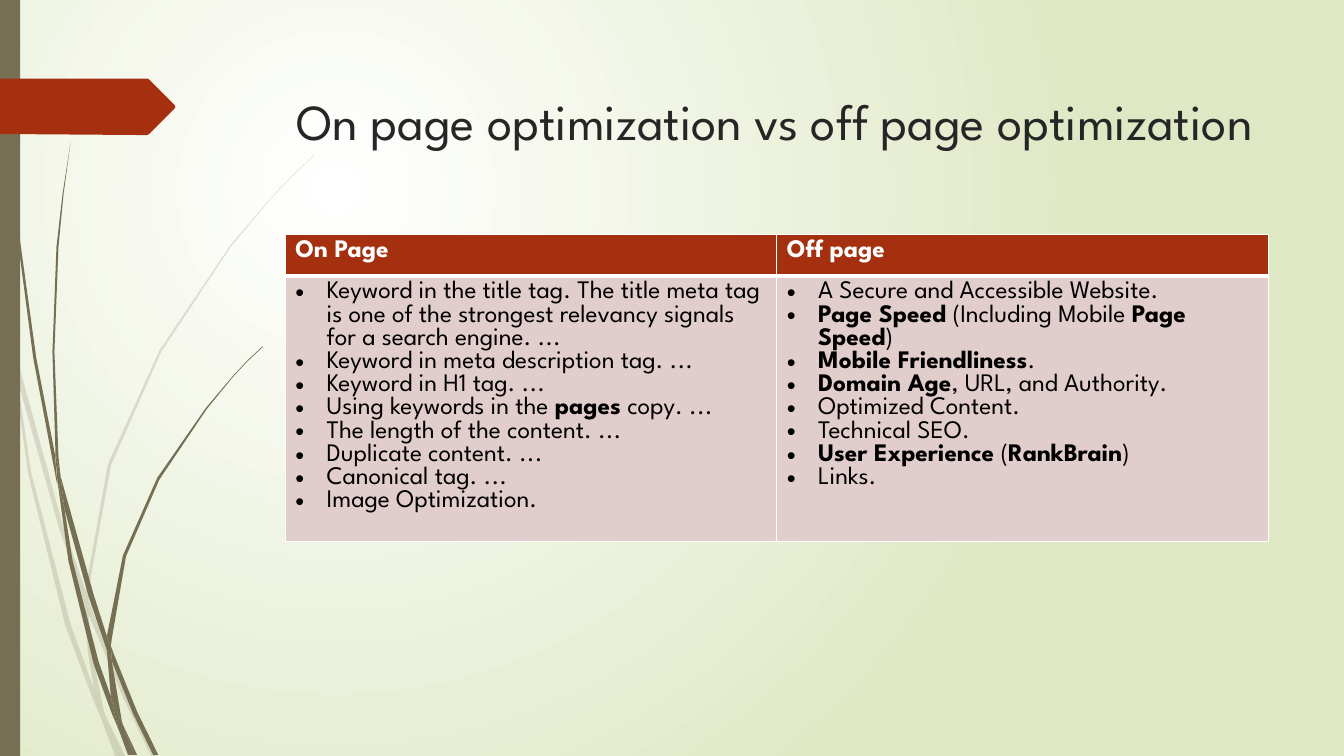
"""Builds a slide that compares on page and off page optimization in a table."""
from lxml.etree import SubElement
from pptx import Presentation
from pptx.dml.color import RGBColor
from pptx.enum.shapes import MSO_SHAPE
from pptx.enum.text import MSO_ANCHOR, MSO_AUTO_SIZE, PP_ALIGN
from pptx.oxml.ns import qn
from pptx.util import Inches, Pt

FONT = "League Spartan"
OLIVE, RUST, ROSE, WHITE, BLACK = "766F54", "A53010", "E1CDCC", "FFFFFF", "000000"

TITLE = "On page optimization vs off page optimization"
HEADERS = ["On Page", "Off page"]
# Asterisks enclose bold words.
ITEMS = [
    ["Keyword in the title tag. The title meta tag is one of the strongest "
     "relevancy signals for a search engine. ...",
     "Keyword in meta description tag. ...",
     "Keyword in H1 tag. ...",
     "Using keywords in the *pages* copy. ...",
     "The length of the content. ...",
     "Duplicate content. ...",
     "Canonical tag. ...",
     "Image Optimization."],
    ["A Secure and Accessible Website.",
     "*Page Speed* (Including Mobile *Page Speed*)",
     "*Mobile Friendliness*.",
     "*Domain Age*, URL, and Authority.",
     "Optimized Content.",
     "Technical SEO.",
     "*User Experience* (*RankBrain*)",
     "Links."],
]

PALE_STEMS = [
    [(0.11, 3.5), (0.09, 3.22), (0, 2.82), (0, 2.99), (0.1, 3.44)],
    [(0.58, 5.22), (0.84, 5.99), (0.85, 5.86), (0.62, 5.2), (0.14, 3.45), (0.17, 3.76)],
    [(0.92, 6.07), (0.88, 5.96), (0.88, 6.1), (1.23, 6.94), (1.5, 7.5), (1.55, 7.5),
     (1.27, 6.92)],
    [(1.19, 7.5), (1.24, 7.5), (1.05, 7.11)],
    [(0.93, 6.83), (0.7, 6.19), (0.31, 4.69), (0.17, 3.76), (0.11, 3.5), (0.28, 4.7),
     (0.65, 6.21), (0.92, 6.93), (1.01, 7.14), (0.99, 7.07)],
    [(0.84, 5.99), (0.87, 6.46), (0.93, 6.83), (0.96, 6.92), (1.05, 7.11), (1.03, 7.06),
     (0.91, 6.46), (0.88, 6.1), (0.88, 6.08)],
    [(0.88, 5.84), (1.1, 4.62), (1.6, 3.49), (2.29, 2.45), (2.68, 1.98), (2.9, 1.75),
     (3.12, 1.54), (3.12, 1.53), (2.89, 1.75), (2.68, 1.97), (2.28, 2.44), (1.58, 3.48),
     (1.07, 4.61), (0.85, 5.84), (0.85, 5.86), (0.88, 5.96)],
    [(1.01, 7.14), (1.14, 7.5), (1.19, 7.5)],
    [(0.88, 6.08), (0.88, 6.1), (0.88, 5.96), (0.85, 5.86), (0.84, 5.99)],
    [(0.96, 6.92), (0.93, 6.83), (0.99, 7.07), (1.01, 7.14), (1.19, 7.5), (1.05, 7.11)],
]
DARK_STEMS = [
    [(0.07, 1.1), (0.17, 2.33), (0.33, 3.55), (0.56, 4.77), (0.57, 4.81), (0.55, 4.57),
     (0.55, 4.53), (0.36, 3.55), (0.19, 2.32), (0.08, 1.09), (0.05, 0.48), (0.04, 0),
     (0.03, 0), (0.04, 0.48)],
    [(0.88, 5.92), (1.06, 6.45), (1.06, 6.33), (1.06, 6.31), (0.93, 5.9), (0.6, 4.72),
     (0.64, 5.05)],
    [(1.13, 6.49), (1.1, 6.41), (1.11, 6.56), (1.32, 7.08), (1.52, 7.49), (1.57, 7.49),
     (1.36, 7.06)],
    [(1.1, 6.91), (0.98, 6.57), (0.72, 5.56), (0.64, 5.05), (0.57, 4.77), (0.68, 5.57),
     (0.93, 6.59), (1.11, 7.08), (1.17, 7.22), (1.16, 7.17)],
    [(0.6, 4.72), (0.58, 4.53), (0.54, 3.49), (0.58, 2.45), (0.63, 1.93), (0.7, 1.41),
     (0.62, 1.93), (0.56, 2.45), (0.52, 3.49), (0.55, 4.49)],
    [(1.33, 7.49), (1.36, 7.49), (1.22, 7.19)],
    [(0.57, 4.77), (0.64, 5.05), (0.6, 4.72), (0.55, 4.49), (0.55, 4.53)],
    [(1.11, 6.33), (1.25, 5.52), (1.58, 4.76), (2.05, 4.06), (2.31, 3.74), (2.45, 3.59),
     (2.61, 3.44), (2.6, 3.44), (2.45, 3.58), (2.31, 3.73), (2.04, 4.05), (1.56, 4.74),
     (1.22, 5.51), (1.06, 6.31), (1.1, 6.41)],
    [(1.17, 7.22), (1.27, 7.49), (1.31, 7.49)],
    [(1.06, 6.45), (1.1, 6.91), (1.16, 7.06), (1.22, 7.19), (1.21, 7.16), (1.11, 6.56),
     (1.09, 6.51)],
    [(1.06, 6.45), (1.09, 6.51), (1.11, 6.56), (1.1, 6.41), (1.06, 6.31), (1.06, 6.33)],
    [(1.16, 7.06), (1.1, 6.91), (1.16, 7.17), (1.17, 7.22), (1.3, 7.49), (1.33, 7.49),
     (1.22, 7.19)],
]
ARROW = [(0, 0.78), (1.46, 0.78), (1.48, 0.79), (1.73, 1.04), (1.74, 1.06), (1.73, 1.08),
         (1.48, 1.33), (1.46, 1.34), (1.36, 1.34), (0, 1.33)]


def rgb(color):
    return RGBColor.from_string(color)


def paint(sp, color, alpha=None):
    sp.shadow.inherit = False
    sp.fill.solid()
    sp.fill.fore_color.rgb = rgb(color)
    sp.line.fill.background()
    if alpha:
        clr = sp.element.spPr.find(qn("a:solidFill")).find(qn("a:srgbClr"))
        SubElement(clr, qn("a:alpha")).set("val", str(alpha * 1000))


def add_outline(shapes, points, color, alpha=None):
    pts = [(Inches(x), Inches(y)) for x, y in points]
    builder = shapes.build_freeform(*pts[0])
    builder.add_line_segments(pts[1:], close=True)
    paint(builder.convert_to_shape(), color, alpha)


def add_runs(p, text, size, color, bold=False):
    for i, part in enumerate(text.split("*")):
        if part:
            r = p.add_run()
            r.text = part
            r.font.name, r.font.size = FONT, Pt(size)
            r.font.bold = bold or i % 2 == 1
            r.font.color.rgb = rgb(color)


def add_bullet(p):
    pPr = p._p.get_or_add_pPr()
    pPr.set("marL", str(Inches(0.31)))
    pPr.set("indent", str(-Inches(0.31)))
    SubElement(pPr, qn("a:buFont")).set("typeface", "Arial")
    SubElement(pPr, qn("a:buChar")).set("char", "•")


def format_cell(cell, color, top, bottom):
    tcPr = cell._tc.get_or_add_tcPr()
    for side, width in (("L", 1), ("R", 1), ("T", top), ("B", bottom)):
        ln = SubElement(tcPr, qn("a:ln" + side))
        ln.set("w", str(Pt(width)))
        SubElement(SubElement(ln, qn("a:solidFill")), qn("a:srgbClr")).set("val", WHITE)
    cell.fill.solid()
    cell.fill.fore_color.rgb = rgb(color)


def set_background(slide):
    fill = slide.background.fill
    fill.gradient()
    for stop, color in zip(fill.gradient_stops, (WHITE, "DFE8C4")):
        stop.color.rgb = rgb(color)
    grad = slide.element.find(".//" + qn("a:gradFill"))
    grad.remove(grad.find(qn("a:lin")))
    circle = SubElement(grad, qn("a:path"))
    circle.set("path", "circle")
    center = SubElement(circle, qn("a:fillToRect"))
    for side, value in zip("ltrb", (50000, 50000, 100000, 100000)):
        center.set(side, str(value))


def add_title(slide):
    title = slide.shapes.title
    title.left, title.top = Inches(2.84), Inches(0.68)
    title.width, title.height = Inches(9.75), Inches(1.4)
    tf = title.text_frame
    tf.auto_size = MSO_AUTO_SIZE.NONE
    tf.vertical_anchor = MSO_ANCHOR.TOP
    tf.margin_top = Inches(0.21)
    p = tf.paragraphs[0]
    p.alignment = PP_ALIGN.LEFT
    add_runs(p, TITLE, 36, "262626")


def add_comparison(slide):
    table = slide.shapes.add_table(2, 2, Inches(2.83), Inches(2.33),
                                   Inches(9.75), Inches(3.04)).table
    table.horz_banding = False
    table.rows[0].height, table.rows[1].height = Inches(0.41), Inches(2.63)
    for col, (header, items) in enumerate(zip(HEADERS, ITEMS)):
        head, body = table.cell(0, col), table.cell(1, col)
        format_cell(head, RUST, 1, 3)
        format_cell(body, ROSE, 3, 1)
        add_runs(head.text_frame.paragraphs[0], header, 18, WHITE, True)
        tf = body.text_frame
        for i, item in enumerate(items):
            p = tf.add_paragraph() if i else tf.paragraphs[0]
            add_bullet(p)
            add_runs(p, item, 18, BLACK)


def main():
    prs = Presentation()
    prs.slide_width, prs.slide_height = Inches(13.33), Inches(7.5)
    slide = prs.slides.add_slide(prs.slide_layouts[5])
    set_background(slide)
    for stems, alpha in ((PALE_STEMS, 20), (DARK_STEMS, None)):
        group = slide.shapes.add_group_shape()
        for points in stems:
            add_outline(group.shapes, points, OLIVE, alpha)
    bar = slide.shapes.add_shape(MSO_SHAPE.RECTANGLE, 0, 0, Inches(0.2), Inches(7.5))
    paint(bar, OLIVE)
    add_outline(slide.shapes, ARROW, RUST)
    add_title(slide)
    add_comparison(slide)
    prs.save("out.pptx")


if __name__ == "__main__":
    main()
